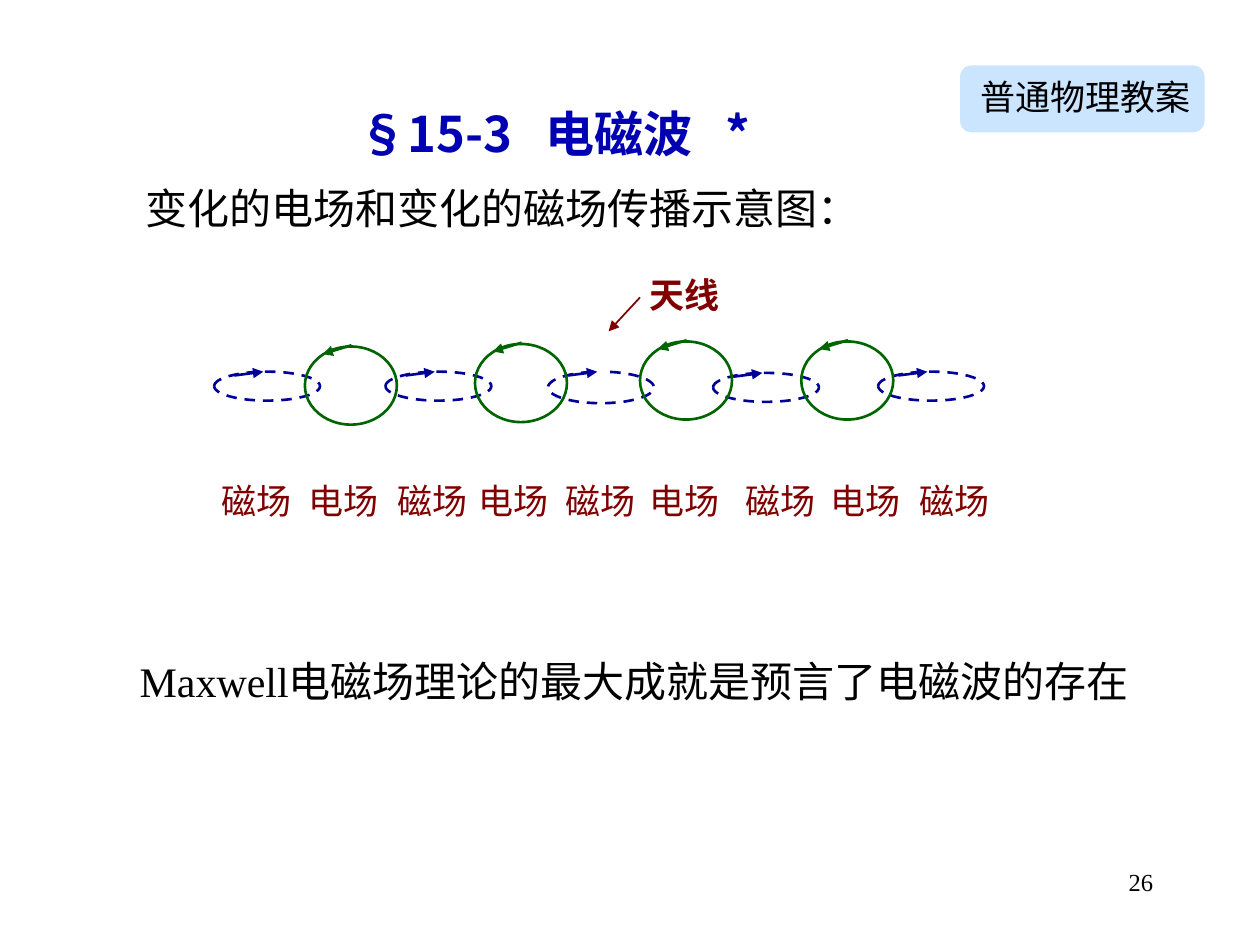
from math import cos, radians, sin

from lxml.etree import SubElement
from pptx import Presentation
from pptx.dml.color import RGBColor
from pptx.enum.dml import MSO_LINE
from pptx.enum.lang import MSO_LANGUAGE_ID
from pptx.enum.shapes import MSO_CONNECTOR, MSO_SHAPE
from pptx.enum.text import PP_ALIGN
from pptx.oxml.ns import qn
from pptx.util import Inches, Pt

BLACK = RGBColor(0x00, 0x00, 0x00)
TITLE_BLUE = RGBColor(0x00, 0x00, 0xB2)
MAGNETIC_BLUE = RGBColor(0x00, 0x00, 0x99)
ELECTRIC_GREEN = RGBColor(0x00, 0x64, 0x00)
LABEL_RED = RGBColor(0x80, 0x00, 0x00)
BADGE_BLUE = RGBColor(0x99, 0xCC, 0xFF)

SERIF = "Times New Roman"
SANS = "Noto Sans CJK SC"
PADDING = dict(margin_left=1, margin_right=1, margin_top=0.5, margin_bottom=0.5)
NO_PADDING = dict.fromkeys(PADDING, 0)


def cells(count):
    return Inches(count / 10)


def apply(target, values):
    for name, value in values.items():
        setattr(target, name, value)


class FieldSlide:
    def __init__(self, deck):
        self.page = deck.slides.add_slide(deck.slide_layouts[6])
        self.shapes = self.page.shapes

    def text(self, area, words, size=20, color=BLACK, bold=False, face=SERIF,
             align=PP_ALIGN.LEFT, padding=PADDING, stops=()):
        box = self.shapes.add_textbox(*map(cells, area))
        frame = box.text_frame
        apply(frame, {name: cells(value) for name, value in padding.items()})
        frame.word_wrap = True
        para = frame.paragraphs[0]
        para.alignment = align
        if stops:
            tabs = SubElement(para._p.get_or_add_pPr(), qn("a:tabLst"))
            for stop in stops:
                SubElement(tabs, qn("a:tab"), pos=str(cells(stop)), algn="l")
        span = para.add_run()
        span.text = words
        apply(span.font, dict(size=Pt(size), bold=bold, name=face,
                              language_id=MSO_LANGUAGE_ID.SIMPLIFIED_CHINESE))
        span.font.color.rgb = color
        SubElement(span._r.rPr, qn("a:ea"), typeface=SANS)

    def outline(self, shape, color, dash=None):
        shape.shadow.inherit = False
        shape.fill.background()
        shape.line.color.rgb = color
        apply(shape.line, dict(width=Pt(1.5), dash_style=dash))

    def ring(self, area, color, dash=None):
        ellipse = self.shapes.add_shape(MSO_SHAPE.OVAL, *map(cells, area))
        self.outline(ellipse, color, dash)

    def open_ring(self, area, color, dash, start=-80, end=264, steps=86):
        left, top, width, height = area
        points = []
        for step in range(steps + 1):
            angle = radians(start + (end - start) * step / steps)
            points.append((cells(left + width * (1 + cos(angle)) / 2),
                           cells(top + height * (1 + sin(angle)) / 2)))
        builder = self.shapes.build_freeform(*points[0])
        builder.add_line_segments(points[1:], close=False)
        self.outline(builder.convert_to_shape(), color, dash)

    def arrow(self, start, end, color, width=1.5):
        line = self.shapes.add_connector(
            MSO_CONNECTOR.STRAIGHT, *map(cells, (*start, *end)))
        line.line.color.rgb = color
        line.line.width = Pt(width)
        SubElement(line.line._get_or_add_ln(), qn("a:tailEnd"), type="triangle")
        SubElement(line._element.spPr, qn("a:effectLst"))

    def magnetic_field(self, left, top, is_open=False):
        draw = self.open_ring if is_open else self.ring
        height = 2.5 if is_open else 2.3
        draw((left, top, 8.4, height), MAGNETIC_BLUE, MSO_LINE.DASH)
        self.arrow((left + 1.6, top + 0.3), (left + 3.9, top), MAGNETIC_BLUE)

    def electric_field(self, left, top):
        self.ring((left, top, 7.3, 6.2), ELECTRIC_GREEN)
        self.arrow((left + 3.7, top - 0.1), (left + 1.4, top + 0.6), ELECTRIC_GREEN)

    def badge(self, area, words):
        left, top, width, height = area
        panel = self.shapes.add_shape(MSO_SHAPE.ROUNDED_RECTANGLE, *map(cells, area))
        panel.shadow.inherit = False
        panel.adjustments[0] = 0.167
        panel.fill.solid()
        panel.fill.fore_color.rgb = BADGE_BLUE
        panel.line.fill.background()
        tint = panel._element.spPr.find(".//" + qn("a:srgbClr"))
        SubElement(tint, qn("a:alpha"), val="50000")
        self.text((left + 1.6, top + 0.8, width, 3.9), words,
                  align=PP_ALIGN.JUSTIFY, padding=NO_PADDING)


def main():
    deck = Presentation()
    apply(deck, dict(slide_width=Inches(10), slide_height=Inches(7.5)))
    slide = FieldSlide(deck)

    slide.text((71.7, 68.3, 20.8, 5), "26", size=14, align=PP_ALIGN.RIGHT)
    slide.text((27.5, 7.7, 36.7, 5.7), "§15-3\t电磁波\t*", size=28,
               color=TITLE_BLUE, bold=True, face=SANS, stops=(14.8, 29.1))
    slide.text((10.6, 14, 75.2, 5), "变化的电场和变化的磁场传播示意图：", size=24)

    for left, top, is_open in ((17, 29.5, False), (30.6, 29.5, False),
                               (43.5, 29.5, True), (56.6, 29.6, False),
                               (69.7, 29.5, False)):
        slide.magnetic_field(left, top, is_open)
    for left, top in ((24.2, 27.5), (37.7, 27.3), (50.8, 27.1), (63.6, 27.1)):
        slide.electric_field(left, top)

    slide.arrow((50.8, 23.6), (48.3, 26.3), LABEL_RED, width=1)
    slide.text((50.6, 21.2, 14.3, 4.4), "天线", color=LABEL_RED, bold=True)

    labels = (("磁场", 8.9, (16.6, 30.6, 43.9, 58.2, 72)),
              ("电场", 15.5, (23.5, 37, 50.6, 64.9)))
    for words, width, lefts in labels:
        for left in lefts:
            slide.text((left, 37.6, width, 4.4), words, color=LABEL_RED)

    slide.text((10.1, 51.5, 83, 5),
               "Maxwell电磁场理论的最大成就是预言了电磁波的存在", size=24)
    slide.badge((76.2, 5.2, 19.4, 5.3), "普通物理教案")
    deck.save("out.pptx")


if __name__ == "__main__":
    main()
